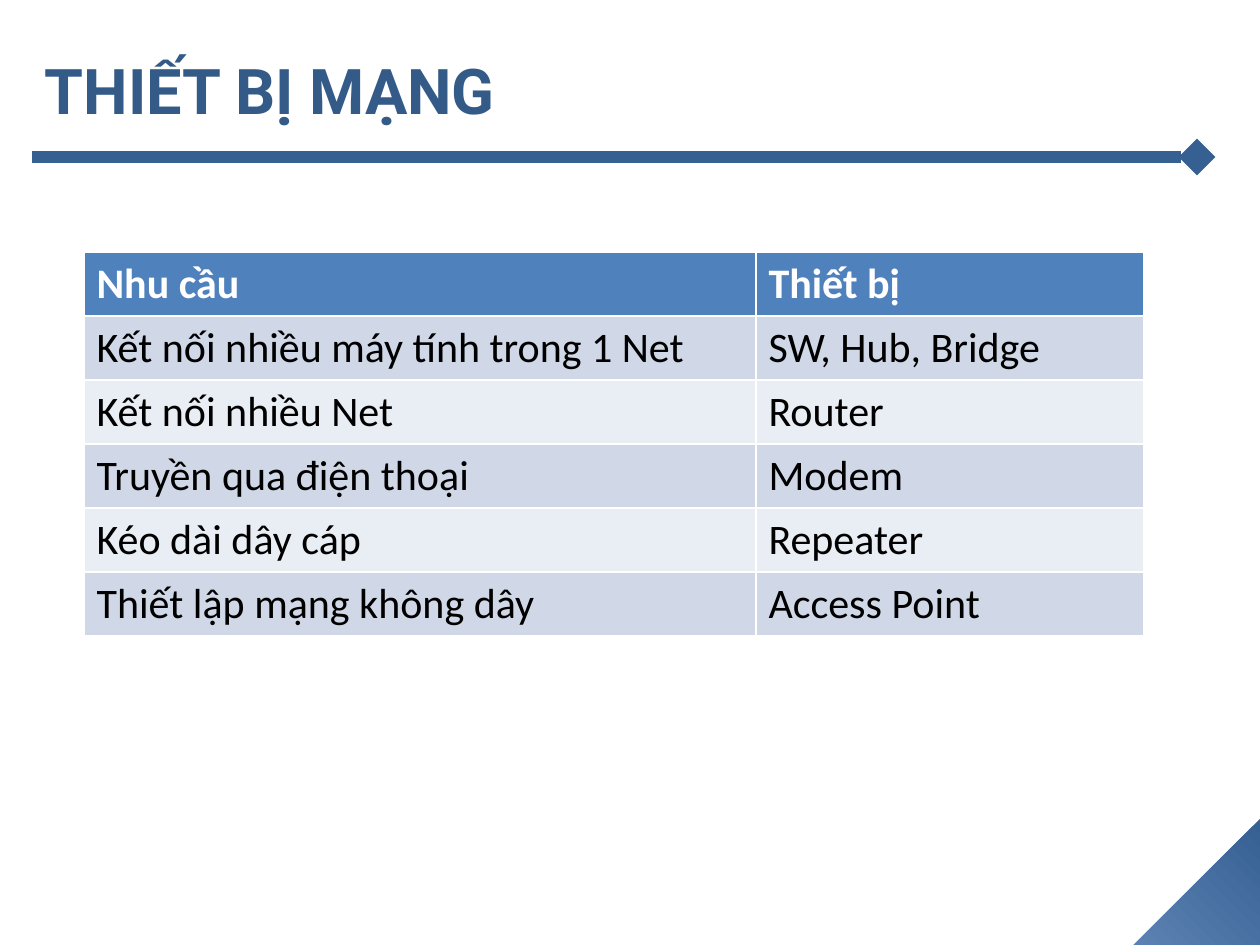
from dataclasses import dataclass

from lxml import etree
from pptx import Presentation
from pptx.dml.color import RGBColor
from pptx.enum.shapes import MSO_CONNECTOR, MSO_SHAPE
from pptx.enum.text import MSO_ANCHOR, PP_ALIGN
from pptx.oxml.ns import qn
from pptx.util import Emu, Pt

LINE = MSO_CONNECTOR.STRAIGHT
CORNER = MSO_SHAPE.RIGHT_TRIANGLE
LEFT = PP_ALIGN.LEFT
MIDDLE = MSO_ANCHOR.MIDDLE
TITLE_ONLY = 5
SCALE = 914400 / 126


@dataclass(frozen=True)
class Theme:
    title: str = "345A88"
    accent: str = "376092"
    light: str = "5B82B3"
    head: str = "4F81BD"
    bands: tuple = ("D0D8E8", "E9EDF4")
    white: str = "FFFFFF"
    ink: str = "000000"
    title_font: str = "Roboto"
    body_font: str = "Calibri"
    title_size: int = 36
    body_size: int = 24


def px(n):
    return Emu(round(n * SCALE))


def rgb(code):
    return RGBColor.from_string(code)


def write(frame, text, *, font, size, color, bold=False):
    frame.text = text
    para = frame.paragraphs[0]
    para.alignment = LEFT
    style = para.runs[0].font
    style.name, style.size, style.bold = font, Pt(size), bold
    style.color.rgb = rgb(color)


def edge(cell, color, width):
    """Draw all four borders of a cell; call before its fill is set."""
    props = cell._tc.get_or_add_tcPr()
    for tag in ("a:lnL", "a:lnR", "a:lnT", "a:lnB"):
        line = etree.SubElement(props, qn(tag), w=str(Pt(width)))
        fill = etree.SubElement(line, qn("a:solidFill"))
        etree.SubElement(fill, qn("a:srgbClr"), val=color)


class Page:
    def __init__(self, deck, theme):
        self.theme = theme
        self.slide = deck.slides.add_slide(deck.slide_layouts[TITLE_ONLY])
        self.shapes = self.slide.shapes

    def title(self, text, x, y, w, h):
        box = self.shapes.title
        box.left, box.top, box.width, box.height = map(px, (x, y, w, h))
        box.text_frame.vertical_anchor = MIDDLE
        write(box.text_frame, text, font=self.theme.title_font,
              size=self.theme.title_size, color=self.theme.title, bold=True)

    def rule(self, x, y, end, width):
        """Draw a level line that ends in a diamond."""
        line = self.shapes.add_connector(LINE, px(x), px(y), px(end), px(y))
        line.line.color.rgb = rgb(self.theme.accent)
        line.line.width = Pt(width)
        etree.SubElement(line.line._get_or_add_ln(), qn("a:tailEnd"), type="diamond")
        etree.SubElement(line._element.spPr, qn("a:effectLst"))

    def corner(self, x, y, size):
        shape = self.shapes.add_shape(CORNER, px(x), px(y), px(size), px(size))
        shape.rotation = 270
        shape.shadow.inherit = False
        shape.line.fill.background()
        shape.fill.gradient()
        shape.fill.gradient_angle = 135
        colors = (self.theme.accent, self.theme.light)
        for stop, color in zip(shape.fill.gradient_stops, colors):
            stop.color.rgb = rgb(color)

    def table(self, rows, x, y, widths, height):
        theme = self.theme
        grid = self.shapes.add_table(len(rows), len(widths), px(x), px(y),
                                     px(sum(widths)), px(height * len(rows))).table
        for col, width in zip(grid.columns, widths):
            col.width = px(width)
        for i, row in enumerate(rows):
            grid.rows[i].height = px(height)
            head = i == 0
            for j, text in enumerate(row):
                cell = grid.cell(i, j)
                edge(cell, theme.white, 1)
                cell.fill.solid()
                cell.fill.fore_color.rgb = rgb(theme.head if head else theme.bands[(i - 1) % 2])
                write(cell.text_frame, text, font=theme.body_font, size=theme.body_size,
                      color=theme.white if head else theme.ink, bold=head)


def main():
    deck = Presentation()
    deck.slide_width, deck.slide_height = px(1260), px(945)
    page = Page(deck, Theme())
    page.corner(1134, 819, 126)
    page.rule(32, 157, 1197, 7)
    page.title("THIẾT BỊ MẠNG", 32, 10, 1206, 158)
    rows = [
        ("Nhu cầu", "Thiết bị"),
        ("Kết nối nhiều máy tính trong 1 Net", "SW, Hub, Bridge"),
        ("Kết nối nhiều Net", "Router"),
        ("Truyền qua điện thoại", "Modem"),
        ("Kéo dài dây cáp", "Repeater"),
        ("Thiết lập mạng không dây", "Access Point"),
    ]
    page.table(rows, 84, 252, (672, 388), 64)
    deck.save("out.pptx")


if __name__ == "__main__":
    main()
